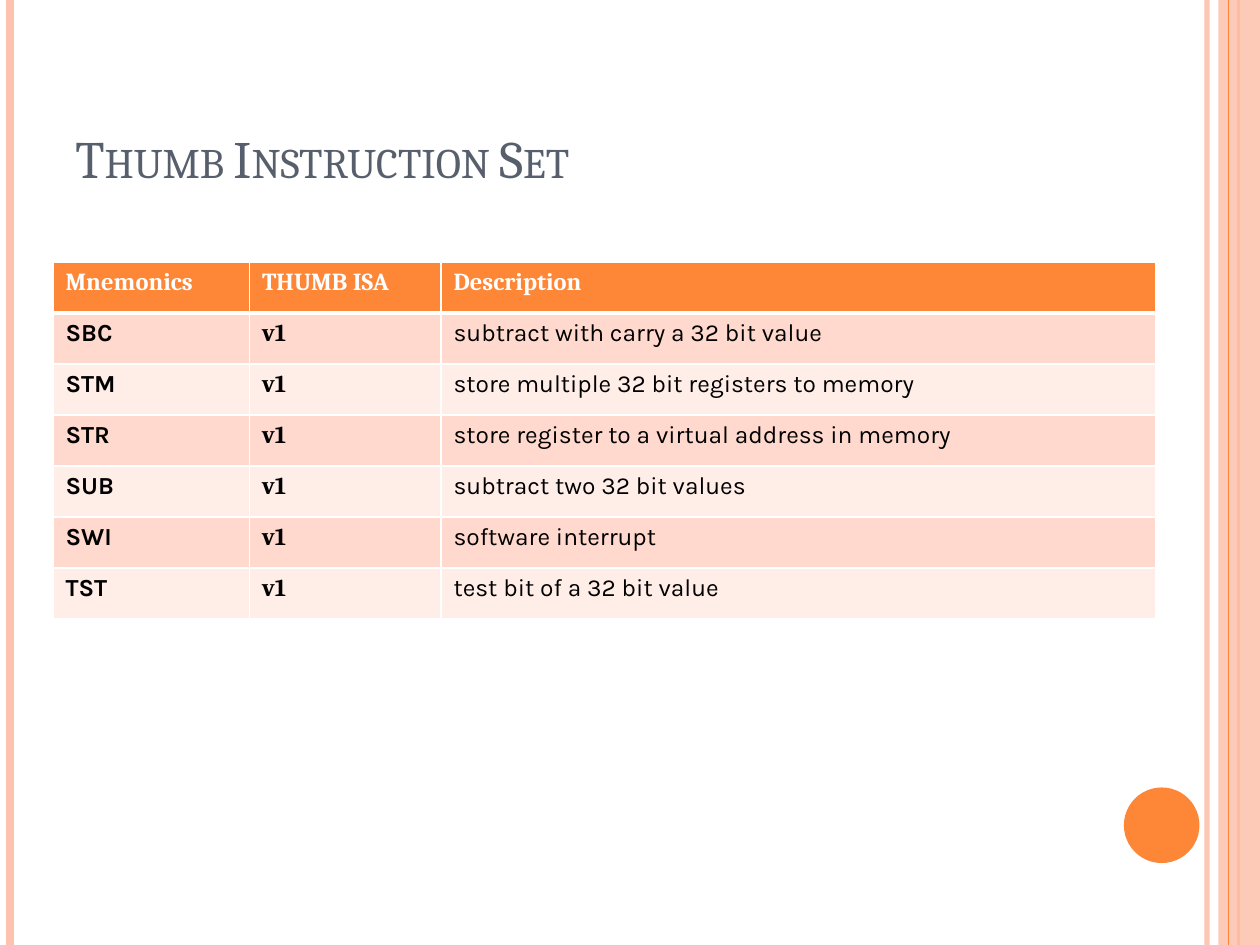
from lxml.etree import SubElement as Sub
from pptx import Presentation
from pptx.dml.color import RGBColor as RGB
from pptx.enum.shapes import MSO_CONNECTOR as CON, MSO_SHAPE as SHAPE
from pptx.enum.text import MSO_ANCHOR as ANCHOR
from pptx.oxml.ns import qn
from pptx.util import Inches, Pt

# Content
TITLE = "Thumb Instruction Set"
HEAD = ("Mnemonics", "THUMB ISA", "Description")
BODY = [
    ("SBC", "v1", "subtract with carry a 32 bit value"),
    ("STM", "v1", "store multiple 32 bit registers to memory"),
    ("STR", "v1", "store register to a virtual address in memory"),
    ("SUB", "v1", "subtract two 32 bit values"),
    ("SWI", "v1", "software interrupt"),
    ("TST", "v1", "test bit of a 32 bit value"),
]

# Style
W, H = 10, 7.5
ORANGE, PEACH, WHITE = "FE8637", "FEC3AE", "FFFFFF"
BANDS = ("FFD9CE", "FFEDE8")
COLS, ROW = (1.56, 1.52, 5.67), 0.405
FONTS = ("Karla", "Cambria", "Karla")
# x, colour, width in points, opacity in percent
BACK = [(9.58, PEACH, 3, 93), (0.08, PEACH, 4.5, 100), (9.83, ORANGE, 1.5, 100)]
FRONT = [(9.75, ORANGE, 0.75, 100)]


def rgb(code):
    return RGB.from_string(code)


def box(*sides):
    return [Inches(s) for s in sides]


def paint(fill, code, alpha=100):
    fill.solid()
    fill.fore_color.rgb = rgb(code)
    if alpha < 100:
        tone = fill._xPr.find(".//" + qn("a:srgbClr"))
        Sub(tone, qn("a:alpha"), val=str(alpha * 1000))


def rule(x, code, width, alpha):
    line = slide.shapes.add_connector(CON.STRAIGHT, *box(x, 0, x, H))
    line.line.width = Pt(width)
    paint(line.line.fill, code, alpha)
    Sub(line._element.spPr, qn("a:effectLst"))


def block(kind, sides, code, alpha=100):
    shape = slide.shapes.add_shape(kind, *box(*sides))
    shape.shadow.inherit = False
    paint(shape.fill, code, alpha)
    shape.line.fill.background()


def write(frame, text, code, **form):
    run = frame.paragraphs[0].add_run()
    run.text = text
    run.font.color.rgb = rgb(code)
    for key, value in form.items():
        setattr(run.font, key, value)
    return run


def edge(cell, side, width):
    ln = Sub(cell._tc.get_or_add_tcPr(), qn("a:ln" + side), w=str(Pt(width)))
    Sub(Sub(ln, qn("a:solidFill")), qn("a:srgbClr"), val=WHITE)


deck = Presentation()
deck.slide_width, deck.slide_height = box(W, H)
slide = deck.slides.add_slide(deck.slide_layouts[6])

# Side stripes and disc
for item in BACK:
    rule(*item)
block(SHAPE.RECTANGLE, (9.67, 0, 0.33, H), PEACH, 87)
for item in FRONT:
    rule(*item)
block(SHAPE.OVAL, (8.92, 6.25, 0.6, 0.6), ORANGE)

# Title
frame = slide.shapes.add_textbox(*box(0.5, 0.3, 8.17, 1.25)).text_frame
frame.word_wrap = True
frame.vertical_anchor = ANCHOR.BOTTOM
run = write(frame, TITLE, "575F6D", size=Pt(30), name="Cambria")
run.font._element.set("cap", "small")

# Table
rows = [HEAD] + BODY
table = slide.shapes.add_table(
    len(rows), len(COLS), *box(0.42, 2.08, sum(COLS), ROW * len(rows))).table
for col, width in zip(table.columns, COLS):
    col.width = Inches(width)
for r, row in enumerate(rows):
    table.rows[r].height = Inches(ROW)
    for c, text in enumerate(row):
        cell, top = table.cell(r, c), r == 0
        for side in "LRTB":
            thick = (top and side == "B") or (r == 1 and side == "T")
            edge(cell, side, 3 if thick else 1)
        paint(cell.fill, ORANGE if top else BANDS[(r - 1) % 2])
        write(cell.text_frame, text, WHITE if top else "000000", size=Pt(14),
              name="Cambria" if top else FONTS[c], bold=top or c < 2)

deck.save("out.pptx")
